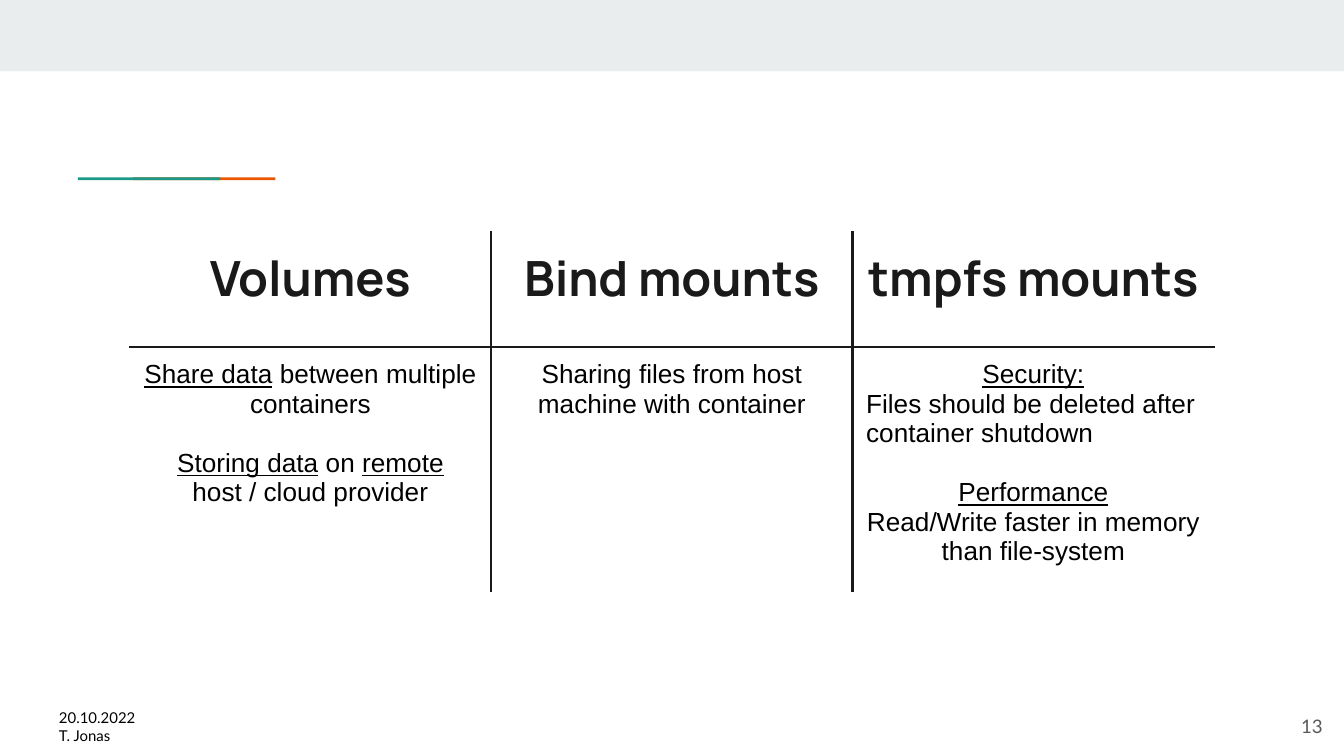
from dataclasses import dataclass

from lxml.etree import SubElement
from pptx import Presentation
from pptx.dml.color import RGBColor
from pptx.enum.shapes import MSO_SHAPE
from pptx.enum.text import MSO_ANCHOR, PP_ALIGN
from pptx.oxml.ns import qn
from pptx.util import Inches, Pt

BLACK = RGBColor(0x00, 0x00, 0x00)
INK = RGBColor(0x1A, 0x1A, 0x1A)
GREY = RGBColor(0x59, 0x59, 0x59)
WHITE = RGBColor(0xFF, 0xFF, 0xFF)
BAND = RGBColor(0xE9, 0xED, 0xEE)
ORANGE = RGBColor(0xEB, 0x56, 0x00)
TEAL = RGBColor(0x1A, 0x99, 0x88)
MARGIN = Inches(0.1)
SLIDE_WIDTH = Inches(10)
SLIDE_HEIGHT = SLIDE_WIDTH * 9 // 16


@dataclass
class Bar:
    left: float
    top: float
    width: float
    height: float
    color: RGBColor


@dataclass
class Line:
    spans: list[tuple[str, bool]]  # text, underlined
    align: PP_ALIGN = PP_ALIGN.CENTER
    gap: bool = False  # one line of space above


@dataclass
class MountType:
    heading: str
    uses: list[Line]


BARS = [
    Bar(0, 0, 10, 0.53, BAND),
    Bar(0.99, 1.32, 1.06, 0.02, ORANGE),
    Bar(0.58, 1.32, 1.06, 0.02, TEAL),
]
MOUNT_TYPES = [
    MountType("Volumes", [
        Line([("Share data", True), (" between multiple containers", False)]),
        Line([("Storing data", True), (" on ", False), ("remote", True),
              (" host / cloud provider", False)], gap=True),
    ]),
    MountType("Bind mounts", [
        Line([("Sharing files from host machine with container", False)]),
    ]),
    MountType("tmpfs mounts", [
        Line([("Security:", True)]),
        Line([("Files should be deleted after container shutdown", False)],
             PP_ALIGN.LEFT),
        Line([("Performance", True)], gap=True),
        Line([("Read/Write faster in memory than file-system", False)]),
    ]),
]


def set_font(paragraph, name: str, size: float, color: RGBColor,
             bold: bool = False) -> None:
    font = paragraph.font
    font.name, font.size, font.bold = name, Pt(size), bold
    font.color.rgb = color


def draw_bar(slide, bar: Bar) -> None:
    shape = slide.shapes.add_shape(
        MSO_SHAPE.RECTANGLE, Inches(bar.left), Inches(bar.top),
        Inches(bar.width), Inches(bar.height))
    shape.shadow.inherit = False
    shape.fill.solid()
    shape.fill.fore_color.rgb = bar.color
    shape.line.fill.background()


def draw_note(slide, text: str, left: float, top: float, width: float,
              height: float, size: float, color: RGBColor,
              align: PP_ALIGN, anchor: MSO_ANCHOR) -> None:
    frame = slide.shapes.add_textbox(
        Inches(left), Inches(top), Inches(width), Inches(height)).text_frame
    frame.word_wrap = True
    frame.vertical_anchor = anchor
    frame.margin_left = frame.margin_right = MARGIN
    frame.margin_top = frame.margin_bottom = MARGIN
    paragraph = frame.paragraphs[0]
    paragraph.text = text
    paragraph.alignment = align
    set_font(paragraph, "Lato", size, color)


def style_cell(cell, row: int, column: int) -> None:
    """Clear the fill and rule only the inner edges in dark ink."""
    cell.margin_left = cell.margin_right = MARGIN
    cell.margin_top = cell.margin_bottom = MARGIN
    inner_edges = {"L": column > 0, "R": column < len(MOUNT_TYPES) - 1,
                   "T": row == 1, "B": row == 0}
    properties = cell._tc.get_or_add_tcPr()
    for side, inner in inner_edges.items():
        border = SubElement(properties, qn(f"a:ln{side}"),
                            w=str(Pt(1.5 if inner else 0.75)))
        fill = SubElement(border, qn("a:solidFill"))
        SubElement(fill, qn("a:srgbClr"), val=str(INK if inner else WHITE))
    cell.fill.background()


def write_uses(cell, uses: list[Line]) -> None:
    frame = cell.text_frame
    for index, line in enumerate(uses):
        paragraph = frame.add_paragraph() if index else frame.paragraphs[0]
        paragraph.alignment = line.align
        paragraph.space_before = Pt(16 if line.gap else 0)
        set_font(paragraph, "Arial", 14, BLACK)
        for text, underlined in line.spans:
            run = paragraph.add_run()
            run.text = text
            run.font.underline = underlined


def draw_comparison(slide) -> None:
    column_width = Inches(2.69)
    table_width = column_width * len(MOUNT_TYPES)
    row_heights = Inches(0.86), Inches(1.83)
    table = slide.shapes.add_table(
        2, len(MOUNT_TYPES), (SLIDE_WIDTH - table_width) // 2, Inches(1.72),
        table_width, sum(row_heights)).table
    table.first_row = table.horz_banding = False
    for row, height in zip(table.rows, row_heights):
        row.height = height
    for column, mount in enumerate(MOUNT_TYPES):
        table.columns[column].width = column_width
        heading, body = table.cell(0, column), table.cell(1, column)
        style_cell(heading, 0, column)
        style_cell(body, 1, column)
        paragraph = heading.text_frame.paragraphs[0]
        paragraph.text = mount.heading
        paragraph.alignment = PP_ALIGN.CENTER
        set_font(paragraph, "Manrope", 26, INK, bold=True)
        write_uses(body, mount.uses)


def main() -> None:
    presentation = Presentation()
    presentation.slide_width = SLIDE_WIDTH
    presentation.slide_height = SLIDE_HEIGHT
    slide = presentation.slides.add_slide(presentation.slide_layouts[6])

    # Header band and accent line
    for bar in BARS:
        draw_bar(slide, bar)

    # Footer: date with author, page number
    draw_note(slide, "20.10.2022\vT. Jonas", 0.34, 5.17, 2.16, 0.47, 8, BLACK,
              PP_ALIGN.LEFT, MSO_ANCHOR.TOP)
    draw_note(slide, "13", 9.34, 5.19, 0.6, 0.43, 10, GREY,
              PP_ALIGN.RIGHT, MSO_ANCHOR.MIDDLE)

    # Comparison of the mount types
    draw_comparison(slide)
    presentation.save("out.pptx")


if __name__ == "__main__":
    main()
